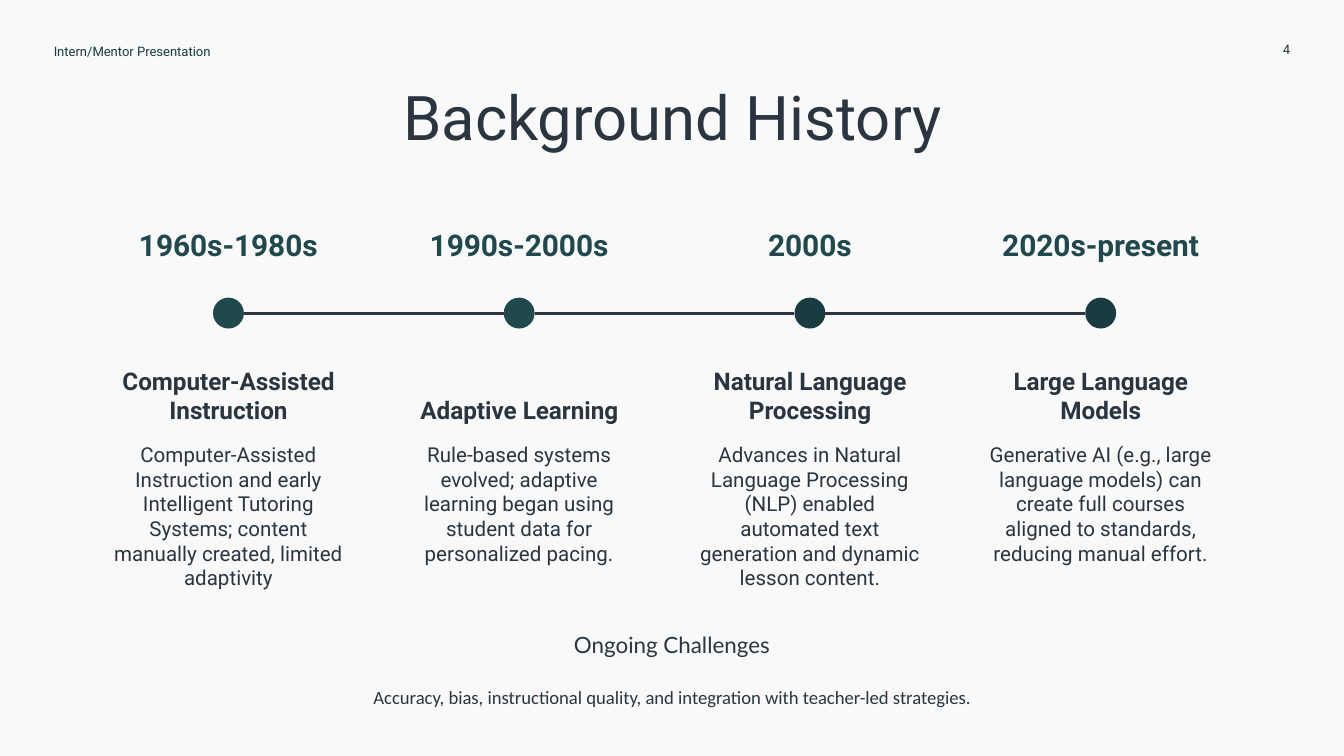
from lxml import etree
from pptx import Presentation
from pptx.dml.color import RGBColor
from pptx.enum.shapes import MSO_CONNECTOR, MSO_SHAPE
from pptx.enum.text import MSO_ANCHOR, PP_ALIGN
from pptx.oxml.ns import qn
from pptx.util import Inches, Pt

LEFT, CENTER, RIGHT = PP_ALIGN.LEFT, PP_ALIGN.CENTER, PP_ALIGN.RIGHT
TOP, MIDDLE, BOTTOM = MSO_ANCHOR.TOP, MSO_ANCHOR.MIDDLE, MSO_ANCHOR.BOTTOM
OVAL = MSO_SHAPE.OVAL
STRAIGHT = MSO_CONNECTOR.STRAIGHT

COLORS = {"paper": "F9F9F9", "ink": "2A353F", "teal": "20494D", "deep": "183C40"}
SLIDE_WIDTH = 10
SLIDE_HEIGHT = SLIDE_WIDTH * 9 / 16
FIRST_LEFT, LAST_LEFT, COLUMN_WIDTH = 0.73, 7.22, 1.94
COLUMN_STEP = (LAST_LEFT - FIRST_LEFT) / 3
DOT_SIZE, LINE_Y = 0.23, 2.33

ERAS = [
    ("1960s-1980s", "teal", "Computer-Assisted Instruction",
     "Computer-Assisted Instruction and early Intelligent Tutoring Systems; "
     "content manually created, limited adaptivity"),
    ("1990s-2000s", "teal", "Adaptive Learning",
     "Rule-based systems evolved; adaptive learning began using student data "
     "for personalized pacing."),
    ("2000s", "deep", "Natural Language Processing",
     "Advances in Natural Language Processing (NLP) enabled automated text "
     "generation and dynamic lesson content."),
    ("2020s-present", "deep", "Large Language Models",
     "Generative AI (e.g., large language models) can create full courses "
     "aligned to standards, reducing manual effort."),
]


def color(name):
    """Return the named colour."""
    return RGBColor.from_string(COLORS[name])


def style(para, size, ink="ink", font="Roboto", bold=False, align=CENTER):
    """Format a paragraph and its runs."""
    para.alignment = align
    for span in para.runs:
        span.font.name, span.font.size, span.font.bold = font, Pt(size), bold
        span.font.color.rgb = color(ink)


def add_text(page, area, text, size, anchor=TOP, inset=0.1, **look):
    """Add a wrapped text box and return its frame."""
    frame = page.shapes.add_textbox(*map(Inches, area)).text_frame
    frame.word_wrap = True
    frame.vertical_anchor = anchor
    frame.margin_left = frame.margin_right = Inches(inset)
    frame.margin_top = frame.margin_bottom = Inches(0.1)
    frame.text = text
    style(frame.paragraphs[0], size, **look)
    return frame


def add_dot(page, center, fill):
    """Add a timeline dot around a horizontal centre."""
    left, top = center - DOT_SIZE / 2, LINE_Y - DOT_SIZE / 2
    dot = page.shapes.add_shape(OVAL, *map(Inches, (left, top, DOT_SIZE, DOT_SIZE)))
    dot.shadow.inherit = False
    dot.fill.solid()
    dot.fill.fore_color.rgb = color(fill)
    dot.line.fill.background()


def add_link(page, start, end):
    """Add a timeline line between two horizontal positions."""
    link = page.shapes.add_connector(STRAIGHT, *map(Inches, (start, LINE_Y, end, LINE_Y)))
    link.line.color.rgb = color("ink")
    link.line.width = Pt(1.5)
    etree.SubElement(link._element.spPr, qn("a:effectLst"))


def add_era(page, column, era):
    """Add one timeline column with its dates, dot, heading and text."""
    dates, fill, heading, body = era
    left = FIRST_LEFT + column * COLUMN_STEP
    center = left + COLUMN_WIDTH / 2
    add_text(page, (left, 2.76, COLUMN_WIDTH, 0.5), heading, 13, BOTTOM, bold=True)
    add_text(page, (left, 3.19, COLUMN_WIDTH, 0.6), body, 11)
    add_text(page, (left, 1.55, COLUMN_WIDTH, 0.5), dates, 16, BOTTOM, ink="teal", bold=True)
    add_dot(page, center, fill)
    if column:
        add_link(page, center - COLUMN_STEP + DOT_SIZE / 2, center - DOT_SIZE / 2)


def add_challenges(page):
    """Add the closing note on ongoing challenges."""
    frame = add_text(page, (2.26, 4.6, 5.48, 0.77), "Ongoing Challenges", 12, font="Lato")
    para = frame.add_paragraph()
    para.text = "Accuracy, bias, instructional quality, and integration with teacher-led strategies."
    para.space_before = Pt(14.4)
    style(para, 10, font="Calibri")


def main():
    """Build and save the timeline slide."""
    deck = Presentation()
    deck.slide_width, deck.slide_height = Inches(SLIDE_WIDTH), Inches(SLIDE_HEIGHT)
    page = deck.slides.add_slide(deck.slide_layouts[6])
    page.background.fill.solid()
    page.background.fill.fore_color.rgb = color("paper")

    add_text(page, (9, 0.24, 0.6, 0.26), "4", 7, MIDDLE, 0, ink="deep", align=RIGHT)
    header = add_text(page, (0.4, 0.24, 4.55, 0.26), "Intern/Mentor Presentation", 7,
                      MIDDLE, 0, ink="deep", align=LEFT)
    header.margin_top = header.margin_bottom = 0
    header.paragraphs[0].line_spacing = 1.15
    add_text(page, (0.79, 0.49, 8.43, 0.38), "Background History", 33)
    for column, era in enumerate(ERAS):
        add_era(page, column, era)
    add_challenges(page)
    deck.save("out.pptx")


if __name__ == "__main__":
    main()
